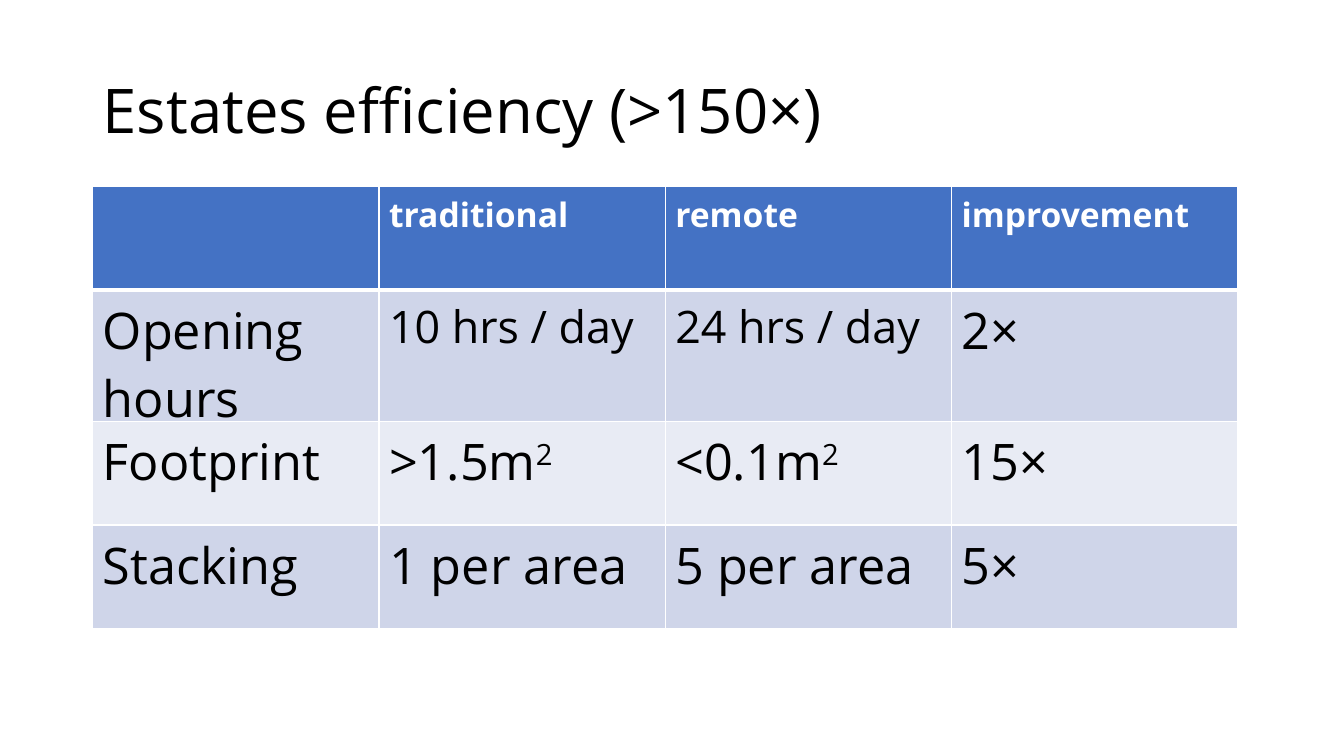
from dataclasses import dataclass

from lxml import etree
from pptx import Presentation
from pptx.dml.color import RGBColor
from pptx.enum.text import MSO_ANCHOR
from pptx.oxml.ns import qn
from pptx.util import Inches, Pt

MIDDLE = MSO_ANCHOR.MIDDLE


@dataclass(frozen=True)
class Theme:
    font: str = "Open Sans"
    ink: str = "000000"
    white: str = "FFFFFF"
    head: str = "4472C4"
    bands: tuple[str, str] = ("CFD5E9", "E8EBF4")
    title: int = 44
    label: int = 24
    body: int = 36
    small: int = 32
    thin: float = 0.96
    thick: float = 3


@dataclass(frozen=True)
class Entry:
    text: str
    size: int
    power: str = ""


THEME = Theme()
WIDTH, HEIGHT = Inches(13.33), Inches(7.5)

# Table content, row by row
ROWS = [
    [Entry(word, THEME.label) for word in ("", "traditional", "remote", "improvement")],
    [Entry("Opening hours", THEME.body), Entry("10 hrs / day", THEME.small),
     Entry("24 hrs / day", THEME.small), Entry("2×", THEME.body)],
    [Entry("Footprint", THEME.body), Entry(">1.5m", THEME.body, "2"),
     Entry("<0.1m", THEME.body, "2"), Entry("15×", THEME.body)],
    [Entry(word, THEME.body) for word in ("Stacking", "1 per area", "5 per area", "5×")],
]

# Grid, in percent of the slide
LEFT, COLUMN = 6.9, 21.3
TITLE_TOP, TITLE_WIDE, TITLE_HIGH = 5.33, 86.27, 19.33
TABLE_TOP = TITLE_TOP + TITLE_HIGH
HIGHS = [13.73, 16.8, 13.73, 13.73]


def across(share: float) -> int:
    return round(WIDTH * share / 100)


def down(share: float) -> int:
    return round(HEIGHT * share / 100)


def add_run(para, text: str, size: int, color: str, bold: bool = False, power: bool = False) -> None:
    run = para.add_run()
    run.text = text
    font = run.font
    font.name, font.size, font.bold = THEME.font, Pt(size), bold
    font.color.rgb = RGBColor.from_string(color)
    if power:
        run._r.get_or_add_rPr().set("baseline", "30000")


def add_edges(cell, top: float, bottom: float) -> None:
    edges = {"L": THEME.thin, "R": THEME.thin, "T": top, "B": bottom}
    props = cell._tc.get_or_add_tcPr()
    for place, (side, width) in enumerate(edges.items()):
        line = etree.Element(qn(f"a:ln{side}"), w=str(Pt(width)))
        fill = etree.SubElement(line, qn("a:solidFill"))
        etree.SubElement(fill, qn("a:srgbClr"), val=THEME.white)
        props.insert(place, line)


def draw_title(slide, text: str) -> None:
    box = slide.shapes.add_textbox(across(LEFT), down(TITLE_TOP), across(TITLE_WIDE), down(TITLE_HIGH))
    frame = box.text_frame
    frame.word_wrap = True
    frame.vertical_anchor = MIDDLE
    para = frame.paragraphs[0]
    para.line_spacing = 0.9
    add_run(para, text, THEME.title, THEME.ink)


def draw_cell(cell, entry: Entry, row: int) -> None:
    head = row == 0
    cell.fill.solid()
    cell.fill.fore_color.rgb = RGBColor.from_string(THEME.head if head else THEME.bands[(row - 1) % 2])
    add_edges(cell, THEME.thick if row == 1 else THEME.thin, THEME.thick if head else THEME.thin)
    para = cell.text_frame.paragraphs[0]
    color = THEME.white if head else THEME.ink
    if entry.text:
        add_run(para, entry.text, entry.size, color, head)
    if entry.power:
        add_run(para, entry.power, entry.size, color, head, True)


def draw_table(slide, rows: list[list[Entry]]) -> None:
    count = len(rows[0])
    table = slide.shapes.add_table(len(rows), count, across(LEFT), down(TABLE_TOP),
                                   across(COLUMN * count), down(sum(HIGHS))).table
    for column in table.columns:
        column.width = across(COLUMN)
    for row, (entries, high) in enumerate(zip(rows, HIGHS)):
        table.rows[row].height = down(high)
        for col, entry in enumerate(entries):
            draw_cell(table.cell(row, col), entry, row)


def main() -> None:
    deck = Presentation()
    deck.slide_width, deck.slide_height = WIDTH, HEIGHT
    slide = deck.slides.add_slide(deck.slide_layouts[6])
    draw_title(slide, "Estates efficiency (>150×)")
    draw_table(slide, ROWS)
    deck.save("out.pptx")


if __name__ == "__main__":
    main()
